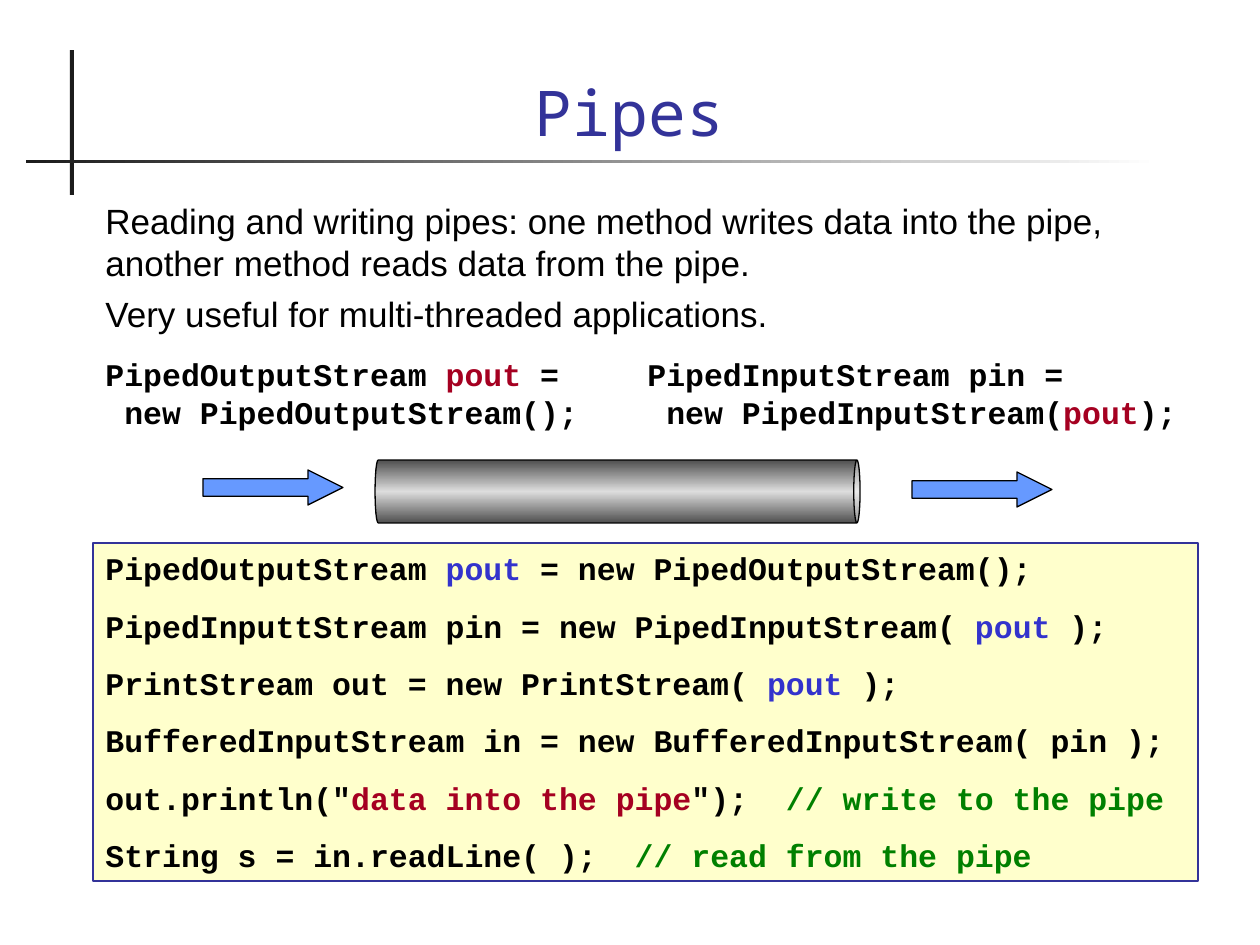
import copy

from pptx import Presentation
from pptx import util as u
from pptx.dml import color
from pptx.enum import shapes, text

SCALE = 914400 / 126
BLACK, NAVY, BLUE, RED, GREEN = "000000", "333399", "3333CC", "A50021", "008000"

INTRO = [
    [("Reading and writing pipes: one method writes data into the pipe, "
      "another method reads data from the pipe.", BLACK)],
    [("Very useful for multi-threaded applications.", BLACK)],
]
OUTPUT = [[("PipedOutputStream ", BLACK), ("pout", RED),
           (" =\n new PipedOutputStream();", BLACK)]]
INPUT = [[("PipedInputStream pin = \n new PipedInputStream(", BLACK),
          ("pout", RED), (");", BLACK)]]
PROGRAM = [
    [("PipedOutputStream ", BLACK), ("pout", BLUE), (" = new PipedOutputStream();", BLACK)],
    [("PipedInputtStream pin = new PipedInputStream( ", BLACK), ("pout", BLUE), (" );", BLACK)],
    [("PrintStream out = new PrintStream( ", BLACK), ("pout", BLUE), (" );", BLACK)],
    [("BufferedInputStream in = new BufferedInputStream( pin );", BLACK)],
    [('out.println("', BLACK), ("data into the pipe", RED), ('");  ', BLACK),
     ("// write to the pipe", GREEN)],
    [("String s = in.readLine( );  ", BLACK), ("// read from the pipe", GREEN)],
]


def px(value):
    return round(value * SCALE)


def rgb(value):
    return color.RGBColor.from_string(value)


def add_run(paragraph, words, size, font, shade, bold=False):
    run = paragraph.add_run()
    run.text = words
    run.font.size = u.Pt(size)
    run.font.name = font
    run.font.bold = bold
    run.font.color.rgb = rgb(shade)


def write(shape, paragraphs, size, font, before, bold=False):
    frame = shape.text_frame
    frame.word_wrap = True
    frame.auto_size = text.MSO_AUTO_SIZE.SHAPE_TO_FIT_TEXT
    frame.vertical_anchor = text.MSO_ANCHOR.TOP
    for index, runs in enumerate(paragraphs):
        paragraph = frame.add_paragraph() if index else frame.paragraphs[0]
        paragraph.alignment = text.PP_ALIGN.LEFT
        paragraph.space_before = u.Pt(before)
        paragraph.line_spacing = u.Pt(size * 1.2)
        for words, shade in runs:
            for number, line in enumerate(words.split("\n")):
                if number:
                    paragraph.add_line_break()
                add_run(paragraph, line, size, font, shade, bold)


def add_text(slide, box, *style):
    write(slide.shapes.add_textbox(*map(px, box)), *style)


def add_shape(slide, kind, box, fill=None, line=None, width=0.75):
    shape = slide.shapes.add_shape(kind, *map(px, box))
    shape.shadow.inherit = False
    if fill:
        shape.fill.solid()
        shape.fill.fore_color.rgb = rgb(fill)
    if line:
        shape.line.color.rgb = rgb(line)
        shape.line.width = u.Pt(width)
    else:
        shape.line.fill.background()
    return shape


def set_gradient(shape, *shades):
    shape.fill.gradient()
    shape.fill.gradient_angle = 0
    first = shape.fill.gradient_stops[0]._gs
    for _ in shades[2:]:
        first.addnext(copy.deepcopy(first))
    for index, (stop, shade) in enumerate(zip(shape.fill.gradient_stops, shades)):
        stop.position = index / (len(shades) - 1)
        stop.color.rgb = rgb(shade)


def add_heading(slide, left, top):
    rectangle = shapes.MSO_SHAPE.RECTANGLE
    add_shape(slide, rectangle, (left + 44, top + 15, 4, 145), "1C1C1C")
    rule = add_shape(slide, rectangle, (left, top + 125, 1133, 3))
    set_gradient(rule, "1C1C1C", "FFFFFF")
    title = slide.shapes.title
    title.left, title.top, title.width, title.height = map(px, (left + 58, top, 1091, 120))
    frame = title.text_frame
    frame.auto_size = text.MSO_AUTO_SIZE.NONE
    frame.vertical_anchor = text.MSO_ANCHOR.BOTTOM
    paragraph = frame.paragraphs[0]
    paragraph.alignment = text.PP_ALIGN.CENTER
    add_run(paragraph, "Pipes", 36, "Noto Sans Mono", NAVY)


def add_pipe(slide, left, top):
    length, thickness = 485, 63
    box = (left + 172 + (length - thickness) / 2, top - (length - thickness) / 2,
           thickness, length)
    pipe = add_shape(slide, shapes.MSO_SHAPE.CAN, box, line=BLACK)
    pipe.rotation = 90
    pipe.adjustments[0] = 0.1
    set_gradient(pipe, "4F4F4F", "DDDDDD", "4F4F4F")
    for x, y in ((0, 10), (709, 12)):
        arrow = add_shape(slide, shapes.MSO_SHAPE.RIGHT_ARROW,
                          (left + x, top + y, 140, 35), "6699FF", BLACK)
        arrow.adjustments[1] = 1


def add_program(slide, box):
    panel = add_shape(slide, shapes.MSO_SHAPE.RECTANGLE, box, "FFFFCC", NAVY, 1.5)
    write(panel, PROGRAM, 18, "Courier New", 11.2, True)


def main():
    presentation = Presentation()
    presentation.slide_width, presentation.slide_height = px(1260), px(945)
    slide = presentation.slides.add_slide(presentation.slide_layouts[5])
    add_heading(slide, 26, 35)
    add_program(slide, (93, 543, 1105, 338))
    add_text(slide, (93, 193, 1060, 147), INTRO, 20, "Arial", 5)
    add_pipe(slide, 203, 460)
    add_text(slide, (93, 349, 508, 88), OUTPUT, 18, "Courier New", 11.2, True)
    add_text(slide, (635, 349, 582, 88), INPUT, 18, "Courier New", 11.2, True)
    presentation.save("out.pptx")


if __name__ == "__main__":
    main()
